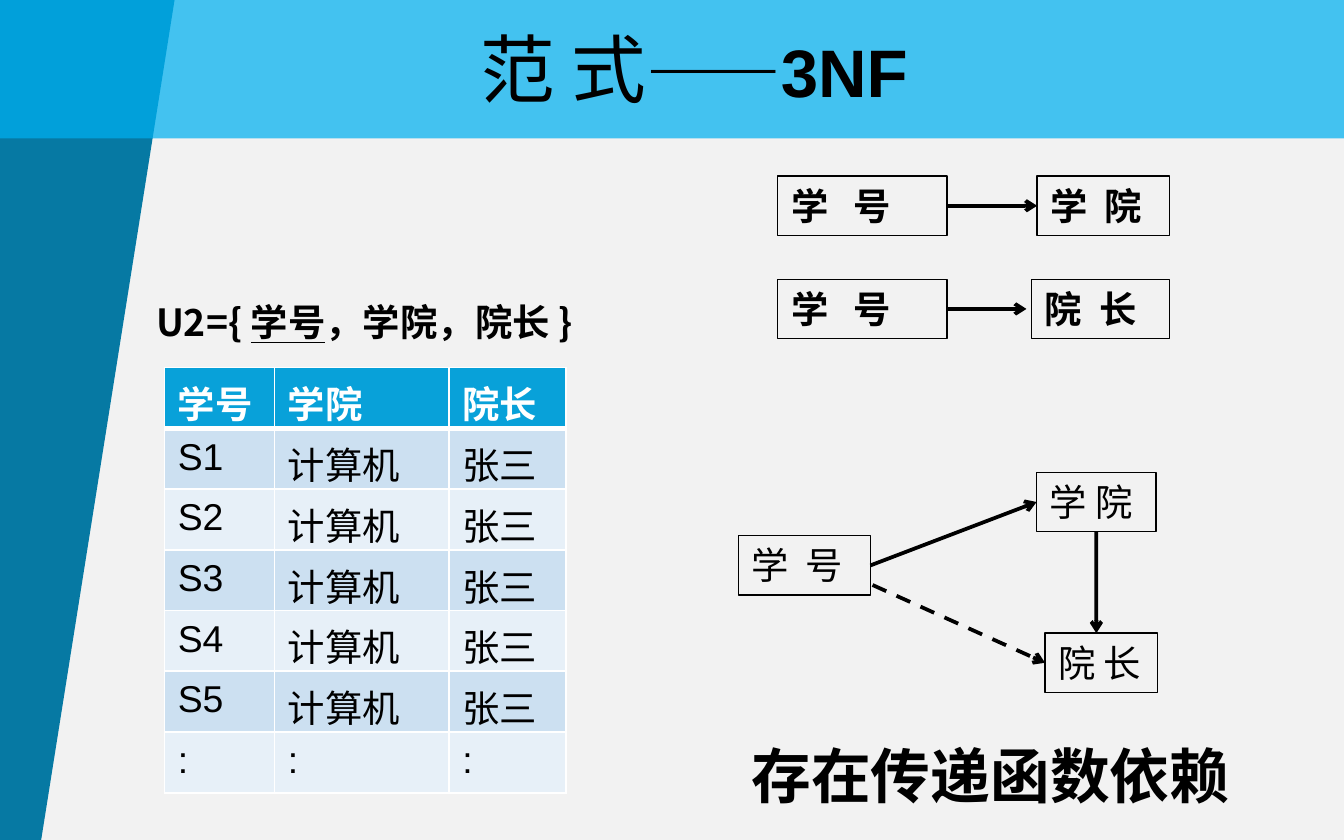
from lxml.etree import SubElement
from pptx import Presentation
from pptx.dml.color import RGBColor
from pptx.enum.dml import MSO_LINE
from pptx.enum.shapes import MSO_CONNECTOR, MSO_SHAPE
from pptx.enum.text import MSO_ANCHOR, MSO_AUTO_SIZE, PP_ALIGN
from pptx.oxml.ns import qn
from pptx.util import Cm, Pt

COLORS = {
    "background": "F2F2F2",
    "wedge": "0679A3",
    "banner": "00B0F0",
    "header": "08A1D9",
    "odd_row": "CCE0F1",
    "even_row": "E7F0F8",
    "white": "FFFFFF",
    "black": "000000",
}
BOX_HEIGHT = 1.12
TOP, LEFT, BOTTOM, RIGHT = range(4)


def rgb(name):
    return RGBColor.from_string(COLORS[name])


def set_font(font, size, bold=False, color="black", name="Arial"):
    font.name = name
    font.size = Pt(size)
    font.bold = bold
    font.color.rgb = rgb(color)


def fill_plain(shape, color):
    shape.shadow.inherit = False
    shape.fill.solid()
    shape.fill.fore_color.rgb = rgb(color)
    shape.line.fill.background()


def add_text(slide, left, top, width, height, text, size, bold=True, name="Arial"):
    frame = slide.shapes.add_textbox(Cm(left), Cm(top), Cm(width), Cm(height)).text_frame
    frame.word_wrap = True
    frame.auto_size = MSO_AUTO_SIZE.SHAPE_TO_FIT_TEXT
    paragraph = frame.paragraphs[0]
    paragraph.alignment = PP_ALIGN.JUSTIFY
    set_font(paragraph.font, size, bold, name=name)
    if text:
        paragraph.text = text
    return paragraph


def add_attribute_box(slide, left, top, width, text, bold):
    box = slide.shapes.add_shape(
        MSO_SHAPE.RECTANGLE, Cm(left), Cm(top), Cm(width), Cm(BOX_HEIGHT))
    box.shadow.inherit = False
    box.fill.background()
    box.line.color.rgb = rgb("black")
    box.line.width = Pt(0.75)
    frame = box.text_frame
    frame.word_wrap = True
    frame.auto_size = MSO_AUTO_SIZE.SHAPE_TO_FIT_TEXT
    frame.vertical_anchor = MSO_ANCHOR.TOP
    paragraph = frame.paragraphs[0]
    paragraph.text = text
    paragraph.alignment = PP_ALIGN.JUSTIFY
    set_font(paragraph.font, 20, bold)
    return box


def add_arrow(slide, start, end, source=None, target=None, dashed=False):
    arrow = slide.shapes.add_connector(
        MSO_CONNECTOR.STRAIGHT, *map(Cm, start), *map(Cm, end))
    if source:
        arrow.begin_connect(*source)
    if target:
        arrow.end_connect(*target)
    arrow.line.color.rgb = rgb("black")
    arrow.line.width = Pt(2)
    if dashed:
        arrow.line.dash_style = MSO_LINE.DASH
    SubElement(arrow.line._get_or_add_ln(), qn("a:tailEnd"), type="arrow")
    SubElement(arrow._element.spPr, qn("a:effectLst"))


def add_backdrop(slide, width, height):
    slide.background.fill.solid()
    slide.background.fill.fore_color.rgb = rgb("background")
    outline = slide.shapes.build_freeform(Cm(-0.03), Cm(height + 0.1))
    corners = [(-0.03, -0.03), (3.3, 0), (0.76, height + 0.12)]
    outline.add_line_segments([(Cm(x), Cm(y)) for x, y in corners], close=True)
    fill_plain(outline.convert_to_shape(), "wedge")
    banner = slide.shapes.add_shape(
        MSO_SHAPE.RECTANGLE, Cm(-0.03), 0, Cm(width + 0.03), Cm(2.62))
    fill_plain(banner, "banner")
    banner_color = banner._element.spPr.find(".//" + qn("a:srgbClr"))
    SubElement(banner_color, qn("a:alpha"), val="72000")


def add_title(slide, left, top, width, height):
    frame = slide.shapes.add_textbox(Cm(left), Cm(top), Cm(width), Cm(height)).text_frame
    frame.word_wrap = True
    frame.vertical_anchor = MSO_ANCHOR.MIDDLE
    paragraph = frame.paragraphs[0]
    paragraph.alignment = PP_ALIGN.CENTER
    for text, size, bold in (("范 式", 40, False), ("——3NF", 36, True)):
        run = paragraph.add_run()
        run.text = text
        set_font(run.font, size, bold)


def add_relation_schema(slide, left, top, width, height):
    paragraph = add_text(
        slide, left, top, width, height, "", 20, name="Noto Sans CJK SC")
    for text, underlined in (("U2={ ", False), ("学号", True), ("，学院，院长 }", False)):
        run = paragraph.add_run()
        run.text = text
        run.font.underline = underlined


def add_cell_borders(cell, bottom_width):
    properties = cell._tc.get_or_add_tcPr()
    for side, width in (("L", 1), ("R", 1), ("T", 1), ("B", bottom_width)):
        border = SubElement(properties, qn(f"a:ln{side}"), w=str(Pt(width)))
        fill = SubElement(border, qn("a:solidFill"))
        SubElement(fill, qn("a:srgbClr"), val=COLORS["white"])


def add_student_table(slide, left, top, row_height):
    column_widths = [2.08, 3.3, 2.21]
    students = [(f"S{number}", "计算机", "张三") for number in range(1, 6)]
    records = [("学号", "学院", "院长"), *students, (":", ":", ":")]
    table = slide.shapes.add_table(
        len(records), len(column_widths), Cm(left), Cm(top),
        Cm(sum(column_widths)), Cm(row_height * len(records))).table
    for column, width in zip(table.columns, column_widths):
        column.width = Cm(width)
    for row, record in enumerate(records):
        is_header = row == 0
        fill = "header" if is_header else "odd_row" if row % 2 else "even_row"
        for column, text in enumerate(record):
            cell = table.cell(row, column)
            cell.margin_left = cell.margin_right = Cm(0.25)
            cell.margin_top = cell.margin_bottom = Cm(0.15)
            add_cell_borders(cell, 3 if is_header else 1)
            cell.fill.solid()
            cell.fill.fore_color.rgb = rgb(fill)
            paragraph = cell.text_frame.paragraphs[0]
            paragraph.text = text
            paragraph.alignment = PP_ALIGN.JUSTIFY
            set_font(paragraph.font, 20, is_header, "white" if is_header else "black")


def add_direct_dependencies(slide, left, top, width):
    key_width = 3.2
    for row, (text, dependent_width, gap) in enumerate(
            (("学  院", 2.5, 0), ("院  长", 2.6, 0.1))):
        y = top + row * 1.95
        middle = y + BOX_HEIGHT / 2
        dependent_left = left + width - dependent_width
        key = add_attribute_box(slide, left, y, key_width, "学   号", True)
        dependent = add_attribute_box(
            slide, dependent_left, y, dependent_width, text, True)
        add_arrow(slide, (left + key_width, middle), (dependent_left - gap, middle),
                  (key, RIGHT), None if gap else (dependent, LEFT))


def add_transitive_dependency(slide, left, top):
    number = add_attribute_box(slide, left, top + 1.2, 2.49, "学  号", False)
    college = add_attribute_box(slide, left + 5.63, top, 2.26, "学 院", False)
    dean = add_attribute_box(slide, left + 5.79, top + 3.04, 2.13, "院 长", False)
    college_middle = left + 5.63 + 2.26 / 2
    add_arrow(slide, (left + 2.49, top + 1.76), (left + 5.63, top + 0.56),
              (number, RIGHT), (college, LEFT))
    add_arrow(slide, (college_middle, top + BOX_HEIGHT), (college_middle, top + 3.04),
              (college, BOTTOM))
    add_arrow(slide, (left + 2.53, top + 2.13), (left + 5.79, top + 3.6),
              target=(dean, LEFT), dashed=True)


def main():
    presentation = Presentation()
    width, height = 25.4, 15.88
    presentation.slide_width = Cm(width)
    presentation.slide_height = Cm(height)
    slide = presentation.slides.add_slide(presentation.slide_layouts[6])
    add_backdrop(slide, width, height)
    add_direct_dependencies(slide, 14.7, 3.33, 7.4)
    add_text(slide, 13.95, 13.85, 9.75, 1.62, "存在传递函数依赖", 32)
    add_relation_schema(slide, 2.7, 5.54, 9, BOX_HEIGHT)
    add_student_table(slide, 3.11, 6.95, 1.13)
    add_transitive_dependency(slide, 13.96, 8.93)
    add_title(slide, 3.33, 0.03, 19.58, 2.51)
    presentation.save("out.pptx")


if __name__ == "__main__":
    main()
